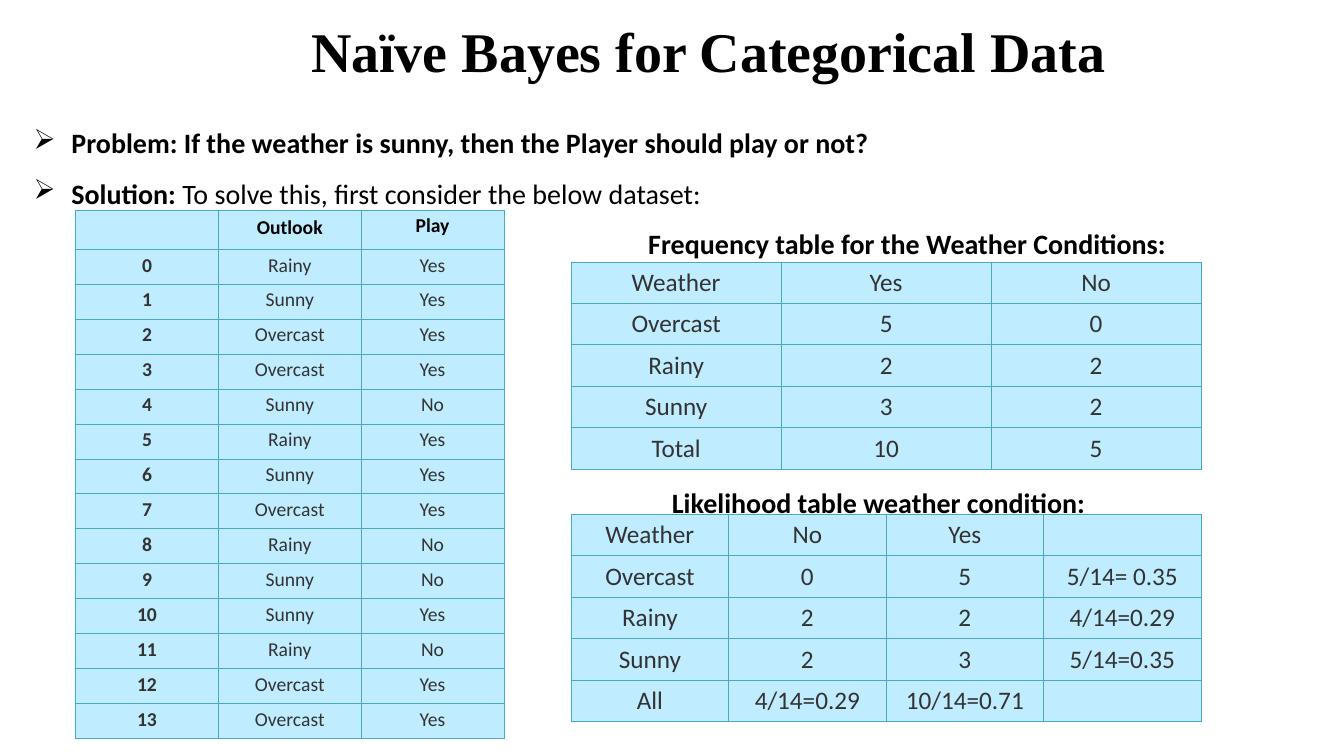
from dataclasses import dataclass

from lxml.etree import SubElement
from pptx import Presentation
from pptx.dml.color import RGBColor as Rgb
from pptx.enum.text import MSO_ANCHOR as Anchor, MSO_AUTO_SIZE as AutoSize, PP_ALIGN as Align
from pptx.oxml import parse_xml
from pptx.oxml.ns import nsdecls, qn
from pptx.util import Pt

TITLE = "Naïve Bayes for Categorical Data"
QUESTIONS = [
    [("Problem: If the weather is sunny, then the Player should play or not?", True)],
    [("Solution: ", True), ("To solve this, first consider the below dataset:", False)],
]
OBSERVATIONS = [
    ("Rainy", "Yes"), ("Sunny", "Yes"), ("Overcast", "Yes"), ("Overcast", "Yes"),
    ("Sunny", "No"), ("Rainy", "Yes"), ("Sunny", "Yes"), ("Overcast", "Yes"),
    ("Rainy", "No"), ("Sunny", "No"), ("Sunny", "Yes"), ("Rainy", "No"),
    ("Overcast", "Yes"), ("Overcast", "Yes"),
]
DATASET = [("", "Outlook", "Play")] + [
    (str(day), *observed) for day, observed in enumerate(OBSERVATIONS)
]
FREQUENCIES = [
    ("Weather", "Yes", "No"),
    ("Overcast", "5", "0"),
    ("Rainy", "2", "2"),
    ("Sunny", "3", "2"),
    ("Total", "10", "5"),
]
LIKELIHOODS = [
    ("Weather", "No", "Yes", ""),
    ("Overcast", "0", "5", "5/14= 0.35"),
    ("Rainy", "2", "2", "4/14=0.29"),
    ("Sunny", "2", "3", "5/14=0.35"),
    ("All", "4/14=0.29", "10/14=0.71", ""),
]
SUMMARIES = [
    ("Frequency table for the Weather Conditions:", (369, 150), FREQUENCIES, 187.2),
    ("Likelihood table weather condition:", (348.5, 335), LIKELIHOODS, 367.5),
]


@dataclass(frozen=True)
class Theme:
    """Colours, fonts and type sizes of the slide."""

    ink: str = "000000"
    cell_ink: str = "333333"
    cell_fill: str = "BFECFF"
    border: str = "46AAC5"
    border_width: float = 0.75
    title_font: str = "Times New Roman"
    body_font: str = "Calibri"
    title_size: int = 40
    body_size: int = 20
    summary_size: int = 18
    dataset_size: int = 14


THEME = Theme()


def style(run, size, colour=THEME.ink, bold=False, face=THEME.body_font):
    """Format one run."""
    run.font.name, run.font.size, run.font.bold = face, Pt(size), bold
    run.font.color.rgb = Rgb.from_string(colour)


def prepare(frame):
    """Make a text frame wrap from its top edge without insets."""
    frame.word_wrap, frame.auto_size = True, AutoSize.NONE
    frame.vertical_anchor = Anchor.TOP
    frame.margin_left = frame.margin_top = frame.margin_right = frame.margin_bottom = 0
    return frame


def place(part, left, top, width, height):
    """Move and size a placeholder."""
    part.left, part.top, part.width, part.height = Pt(left), Pt(top), Pt(width), Pt(height)


def add_text(slide, lines, box, align, bulleted=False):
    """Add a text box with one paragraph per line of (text, bold) pieces."""
    frame = prepare(slide.shapes.add_textbox(*map(Pt, box)).text_frame)
    for number, pieces in enumerate(lines):
        paragraph = frame.add_paragraph() if number else frame.paragraphs[0]
        paragraph.alignment, paragraph.line_spacing = align, 1.5
        if bulleted:
            properties = paragraph._p.get_or_add_pPr()
            properties.set("marL", str(Pt(27)))
            properties.set("indent", str(Pt(-27)))
            SubElement(properties, qn("a:buChar")).set("char", "➢")
        for text, bold in pieces:
            run = paragraph.add_run()
            run.text = text
            style(run, THEME.body_size, bold=bold)


def fill_cell(cell, text, margin, size, colour, bold):
    """Write, fill and outline one table cell."""
    cell.margin_left = cell.margin_right = cell.margin_top = cell.margin_bottom = Pt(margin)
    cell.vertical_anchor = Anchor.TOP
    cell.fill.solid()
    cell.fill.fore_color.rgb = Rgb.from_string(THEME.cell_fill)
    for position, side in enumerate("LRTB"):
        cell._tc.get_or_add_tcPr().insert(position, parse_xml(
            f'<a:ln{side} {nsdecls("a")} w="{Pt(THEME.border_width)}"><a:solidFill>'
            f'<a:srgbClr val="{THEME.border}"/></a:solidFill></a:ln{side}>'))
    if text:
        paragraph = cell.text_frame.paragraphs[0]
        paragraph.text, paragraph.alignment = text, Align.CENTER
        style(paragraph.runs[0], size, colour, bold)


def add_grid(slide, rows, left, top, width, heights, cell_format):
    """Add a table with equal columns; cell_format gives margin, size, colour and bold."""
    columns = len(rows[0])
    grid = slide.shapes.add_table(
        len(rows), columns, Pt(left), Pt(top), Pt(width), Pt(sum(heights))).table
    grid.first_row = grid.horz_banding = False
    for column in grid.columns:
        column.width = Pt(width / columns)
    for r, (values, height) in enumerate(zip(rows, heights)):
        grid.rows[r].height = Pt(height)
        for c, text in enumerate(values):
            fill_cell(grid.cell(r, c), text, *cell_format(r, c))


def dataset_format(row, column):
    """Return the format of a dataset cell."""
    margin = 4.5 if (row, column) == (0, 1) else 3
    colour = THEME.cell_ink if row else THEME.ink
    return margin, THEME.dataset_size, colour, row == 0 or column == 0


def summary_format(row, column):
    """Return the format shared by all summary cells."""
    return 3.8, THEME.summary_size, THEME.cell_ink, False


def main():
    """Build and save the slide."""
    deck = Presentation()
    deck.slide_width, deck.slide_height = Pt(960), Pt(540)
    slide = deck.slides.add_slide(deck.slide_layouts[5])

    title = slide.shapes.title
    place(title, 63.5, 12, 885, 48)
    prepare(title.text_frame).text = TITLE
    heading = title.text_frame.paragraphs[0]
    heading.alignment = Align.CENTER
    style(heading.runs[0], THEME.title_size, bold=True, face=THEME.title_font)

    add_text(slide, QUESTIONS, (24, 78, 900, 105), Align.JUSTIFY, bulleted=True)
    add_grid(slide, DATASET, 54, 150, 306, [28] + [25] * len(OBSERVATIONS), dataset_format)
    for caption, corner, rows, top in SUMMARIES:
        add_text(slide, [[(caption, True)]], (*corner, 558, 32.5), Align.CENTER)
        add_grid(slide, rows, 408, top, 450, [29.6] * len(rows), summary_format)

    deck.save("out.pptx")


if __name__ == "__main__":
    main()
